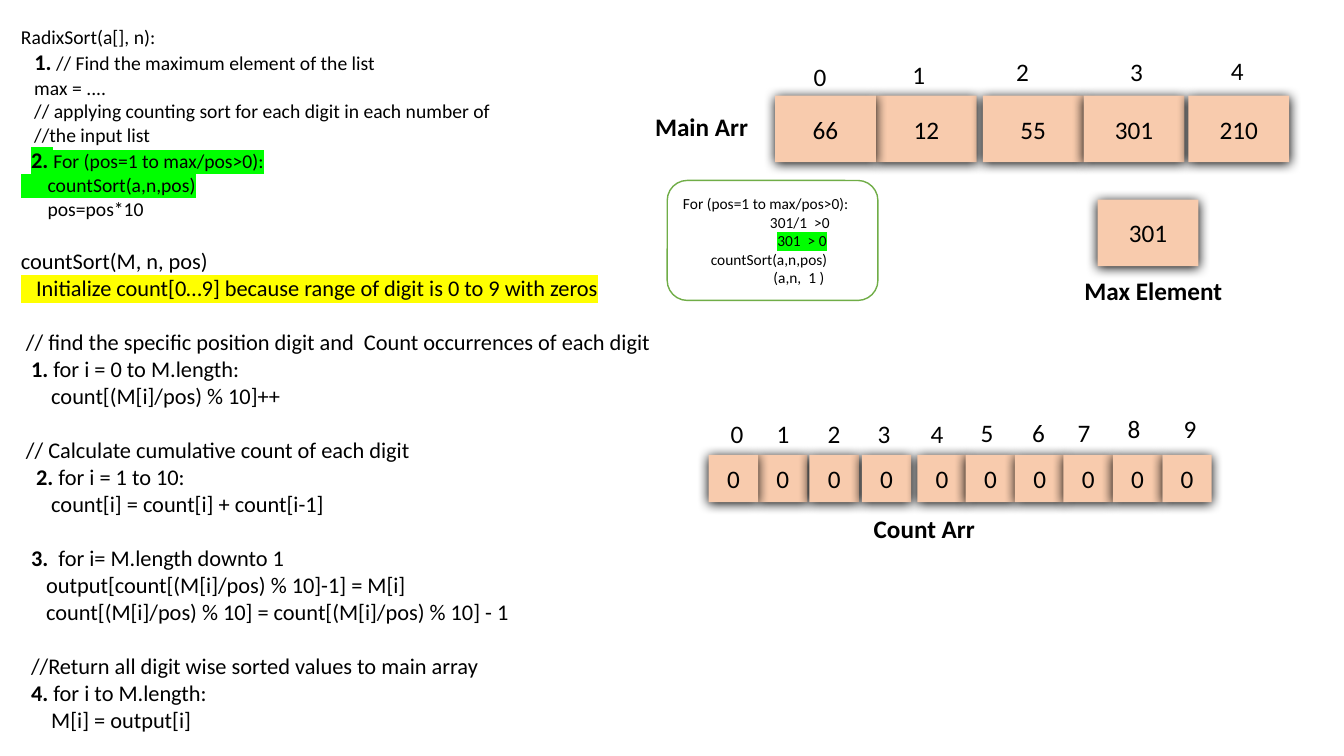
from dataclasses import dataclass

from lxml.etree import SubElement
from pptx import Presentation
from pptx.dml.color import RGBColor
from pptx.enum.shapes import MSO_SHAPE
from pptx.enum.text import MSO_ANCHOR, PP_ALIGN
from pptx.oxml.ns import qn
from pptx.util import Pt


@dataclass(frozen=True)
class Theme:
    font: str = "Calibri"
    text: str = "000000"
    cell: str = "F8CBAD"
    paper: str = "FFFFFF"
    callout_line: str = "70AD47"
    green: str = "00FF00"
    yellow: str = "FFFF00"
    label_size: float = 18
    code_size: float = 16
    small_code_size: float = 14
    callout_size: float = 11
    blank_line: float = 19.5


@dataclass(frozen=True)
class Span:
    text: str
    bold: bool = False
    size: float = None
    highlight: str = None


@dataclass(frozen=True)
class Line:
    spans: tuple
    size: float
    gap: float = 0


THEME = Theme()


def code(*spans, size=THEME.code_size, gap=0):
    """One line of code; plain strings become plain spans."""
    return Line(tuple(Span(s) if isinstance(s, str) else s for s in spans), size, gap)


def small(*spans):
    return code(*spans, size=THEME.small_code_size)


def tiny(*spans):
    return code(*spans, size=THEME.callout_size)


def step(text):
    return Span(text, bold=True)


def big_step(text, highlight=None):
    return Span(text, bold=True, size=THEME.code_size, highlight=highlight)


class SlideBuilder:
    def __init__(self, slide, theme):
        self.slide = slide
        self.theme = theme

    def style(self, paragraph, size, bold=None, align=PP_ALIGN.LEFT):
        paragraph.alignment = align
        font = paragraph.font
        font.name, font.size, font.bold = self.theme.font, Pt(size), bold
        font.color.rgb = RGBColor.from_string(self.theme.text)

    def write_code(self, frame, lines):
        frame.word_wrap = True
        for index, line in enumerate(lines):
            paragraph = frame.add_paragraph() if index else frame.paragraphs[0]
            if line.gap:
                paragraph.space_before = Pt(line.gap)
            self.style(paragraph, line.size)
            for span in line.spans:
                run = paragraph.add_run()
                run.text = span.text
                if span.bold:
                    run.font.bold = True
                if span.size:
                    run.font.size = Pt(span.size)
                if span.highlight:
                    mark = SubElement(run.font._element, qn("a:highlight"))
                    SubElement(mark, qn("a:srgbClr"), val=span.highlight)

    def add_text_box(self, left, top, width, height):
        return self.slide.shapes.add_textbox(Pt(left), Pt(top), Pt(width), Pt(height))

    def code_box(self, lines, left, top, width, height):
        self.write_code(self.add_text_box(left, top, width, height).text_frame, lines)

    def label(self, text, left, top, width, bold=False, align=PP_ALIGN.LEFT):
        frame = self.add_text_box(left, top, width, 28.8).text_frame
        frame.word_wrap = True
        paragraph = frame.paragraphs[0]
        paragraph.text = text
        self.style(paragraph, self.theme.label_size, bold, align)

    def indexes(self, centers, tops, width=30):
        for number, (center, top) in enumerate(zip(centers, tops)):
            self.label(str(number), center - width / 2, top, width, align=PP_ALIGN.CENTER)

    def panel(self, preset, fill, left, top, width, height):
        shape = self.slide.shapes.add_shape(preset, Pt(left), Pt(top), Pt(width), Pt(height))
        shape.shadow.inherit = False
        shape.fill.solid()
        shape.fill.fore_color.rgb = RGBColor.from_string(fill)
        shape.text_frame.vertical_anchor = MSO_ANCHOR.MIDDLE
        return shape

    def cell(self, text, left, top, width, height):
        shape = self.panel(MSO_SHAPE.RECTANGLE, self.theme.cell, left, top, width, height)
        shape.line.fill.background()
        effects = shape._element.spPr.find(qn("a:effectLst"))
        shadow = SubElement(effects, qn("a:outerShdw"), blurRad=str(Pt(8.5)),
                            dist=str(Pt(1)), dir="5400000", algn="ctr", rotWithShape="0")
        SubElement(shadow, qn("a:srgbClr"), val=self.theme.text)
        paragraph = shape.text_frame.paragraphs[0]
        paragraph.text = text
        self.style(paragraph, self.theme.label_size, align=PP_ALIGN.CENTER)

    def array(self, values, lefts, top, width, height):
        cells = list(zip(values, lefts))
        # The first cell lies in front of its neighbour
        for value, left in cells[1:] + cells[:1]:
            self.cell(str(value), left, top, width, height)

    def callout(self, lines, left, top, width, height):
        shape = self.panel(MSO_SHAPE.ROUNDED_RECTANGLE, self.theme.paper,
                           left, top, width, height)
        shape.line.color.rgb = RGBColor.from_string(self.theme.callout_line)
        shape.line.width = Pt(1)
        self.write_code(shape.text_frame, lines)


GAP = THEME.blank_line
ALGORITHM = [
    small("RadixSort(a[], n):"),
    small("   ", big_step("1."), " // Find the maximum element of the list"),
    small("   max = ...."),
    small("   // applying counting sort for each digit in each number of"),
    small("   //the input list"),
    small(big_step("  "), big_step("2. ", THEME.green),
          Span("For (pos=1 to max/pos>0):", highlight=THEME.green)),
    small(Span("      countSort(a,n,pos)", highlight=THEME.green)),
    small("      pos=pos*10"),
    code("countSort(M, n, pos)", gap=GAP),
    code(Span("   Initialize count[0…9] because range of digit is 0 to 9 with zeros",
              highlight=THEME.yellow)),
    code(" // find the specific position digit and  Count occurrences of each digit", gap=GAP),
    code(step("  1."), " for i = 0 to M.length:"),
    code("      count[(M[i]/pos) % 10]++"),
    code(" // Calculate cumulative count of each digit", gap=GAP),
    code(step("   2."), " for i = 1 to 10:"),
    code("      count[i] = count[i] + count[i-1]"),
    code("  ", step("3.  "), "for i= M.length downto 1", gap=GAP),
    code("     output[count[(M[i]/pos) % 10]-1] = M[i]"),
    code("     count[(M[i]/pos) % 10] = count[(M[i]/pos) % 10] - 1"),
    code("  //Return all digit wise sorted values to main array", gap=GAP),
    code("  ", step("4. "), "for i to M.length:"),
    code("      M[i] = output[i]"),
]
LOOP_TRACE = [
    tiny("For (pos=1 to max/pos>0):"),
    tiny("                         301/1  >0"),
    tiny("                           ", Span("301  > 0", highlight=THEME.green)),
    tiny("        countSort(a,n,pos)"),
    tiny("                          (a,n,  1 )"),
]


def main():
    presentation = Presentation()
    presentation.slide_width, presentation.slide_height = Pt(960), Pt(540)
    builder = SlideBuilder(presentation.slides.add_slide(presentation.slide_layouts[6]), THEME)

    # Pseudocode
    builder.code_box(ALGORITHM, 7.9, 14.4, 472.3, 518)

    # Main array
    builder.indexes([585.7, 656.3, 730.4, 811.8, 883.8], [40.3, 38.9, 36.7, 36.7, 36])
    builder.array([66, 12, 55, 301, 210], [553.7, 625.7, 702, 774, 848.9], 68.4, 72, 47.5)
    builder.label("Main Arr", 460.8, 76.3, 82.8, bold=True)

    # Largest element and loop trace
    builder.cell("301", 784, 142.6, 72, 47.5)
    builder.label("Max Element", 767.5, 193, 114.5, bold=True)
    builder.callout(LOOP_TRACE, 476.6, 128.9, 150.5, 85.7)

    # Count array
    builder.indexes([526.4, 559.3, 595.7, 631.4, 669.3, 705, 741.8, 774.3, 810, 850],
                    [295.6] * 5 + [294.2] * 3 + [292] * 2)
    builder.array([0] * 10, [506.2, 541.4, 578.2, 615.6, 655.2, 689.8, 725, 759.6, 794.9, 830.2],
                  325, 35.3, 33.8)
    builder.label("Count Arr", 617, 362.9, 108, bold=True)

    presentation.save("out.pptx")


if __name__ == "__main__":
    main()
